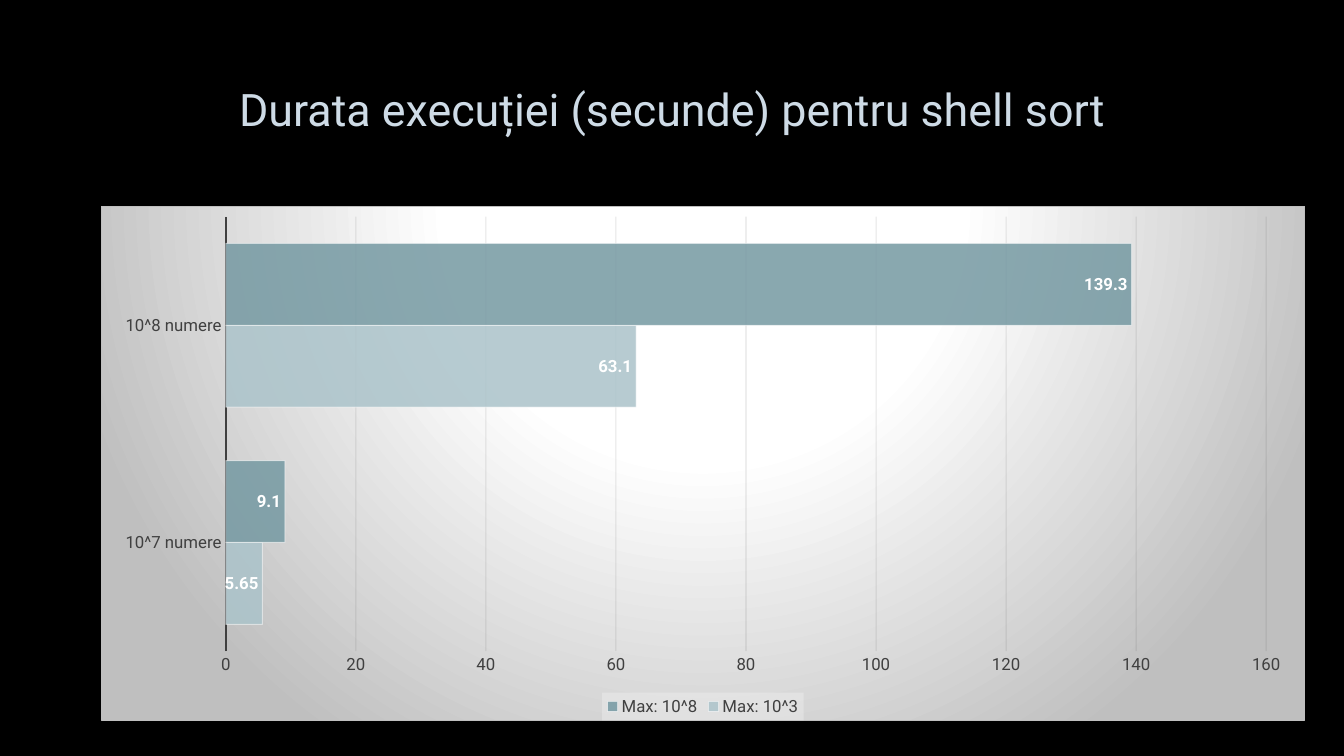
from dataclasses import dataclass

from lxml import etree
from pptx import Presentation
from pptx import util as u
from pptx.chart.data import CategoryChartData
from pptx.dml.color import RGBColor
from pptx.enum import chart as charts, text
from pptx.oxml.ns import nsdecls, qn

PIXEL = 914400 / 100.8


@dataclass(frozen=True)
class Theme:
    font: str = "Roboto"
    background: str = "000000"
    title: str = "CEDBE6"
    ink: str = "404040"
    grid: str = "0D0D0D"
    light: str = "FFFFFF"
    edge: str = "BFBFBF"
    legend: str = "F2F2F2"
    title_size: int = 32
    chart_size: int = 10
    label_size: int = 12


def px(value):
    return u.Emu(round(value * PIXEL))


def solid(color, alpha=100):
    return (f'<a:solidFill><a:srgbClr val="{color}">'
            f'<a:alpha val="{alpha * 1000}"/></a:srgbClr></a:solidFill>')


def line(color, alpha=100, points=0.75):
    return f'<a:ln w="{u.Pt(points)}">{solid(color, alpha)}</a:ln>'


def xml(tag, content):
    return etree.fromstring(f'<{tag} {nsdecls("c", "a")}>{content}</{tag}>')


class Deck:
    def __init__(self, presentation, theme):
        self.theme = theme
        # Layout 5 is title-only
        self.slide = presentation.slides.add_slide(presentation.slide_layouts[5])
        fill = self.slide.background.fill
        fill.solid()
        fill.fore_color.rgb = RGBColor.from_string(theme.background)

    def style(self, font, size, color, bold=False):
        font.name = self.theme.font
        font.size = u.Pt(size)
        font.bold = bold
        font.color.rgb = RGBColor.from_string(color)

    def title(self, words, left, top, width, height):
        shape = self.slide.shapes.title
        shape.left, shape.top, shape.width, shape.height = map(px, (left, top, width, height))
        frame = shape.text_frame
        frame.text = words
        frame.word_wrap = True
        frame.auto_size = text.MSO_AUTO_SIZE.NONE
        frame.vertical_anchor = text.MSO_ANCHOR.MIDDLE
        paragraph = frame.paragraphs[0]
        paragraph.alignment = text.PP_ALIGN.CENTER
        paragraph.line_spacing = 0.9
        self.style(paragraph.font, self.theme.title_size, self.theme.title)

    def bar_chart(self, categories, series, left, top, width, height):
        data = CategoryChartData()
        data.categories = categories
        for name, _, values in series:
            data.add_series(name, values)
        chart = self.slide.shapes.add_chart(
            charts.XL_CHART_TYPE.BAR_CLUSTERED, *map(px, (left, top, width, height)), data).chart
        chart.has_title = False
        self.style(chart.font, self.theme.chart_size, self.theme.light)
        self.chart_area(chart)
        self.axes(chart)
        self.legend(chart)

        # Bars and their values
        plot = chart.plots[0]
        plot.gap_width = 65
        plot.vary_by_categories = False
        for bars, (_, color, _) in zip(plot.series, series):
            bars.format.fill.solid()
            properties = bars._element.find(qn("c:spPr"))
            properties.getparent().replace(properties, xml(
                "c:spPr", solid(color, 85) + line(self.theme.light, 50)))
            labels = bars.data_labels
            labels.show_value = True
            labels.position = charts.XL_LABEL_POSITION.INSIDE_END
            self.style(labels.font, self.theme.label_size, self.theme.light, bold=True)

    def chart_area(self, chart):
        theme = self.theme
        stops = "".join(
            f'<a:gs pos="{position * 1000}"><a:srgbClr val="{color}"/></a:gs>'
            for position, color in ((0, theme.light), (39, theme.light), (100, theme.edge)))
        gradient = (f'<a:gradFill><a:gsLst>{stops}</a:gsLst><a:path path="circle">'
                    '<a:fillToRect l="50000" t="-80000" r="50000" b="180000"/>'
                    '</a:path></a:gradFill>')
        chart._chartSpace.find(qn("c:chart")).addnext(
            xml("c:spPr", gradient + line(theme.edge)))

    def axes(self, chart):
        theme = self.theme
        for axis in (chart.category_axis, chart.value_axis):
            axis.major_tick_mark = axis.minor_tick_mark = charts.XL_TICK_MARK.NONE
            self.style(axis.tick_labels.font, theme.label_size, theme.ink)
        axis_line = chart.category_axis.format.line
        axis_line.width = u.Pt(1.5)
        axis_line.color.rgb = RGBColor.from_string(theme.ink)
        chart.value_axis.format.line.fill.background()
        chart.value_axis.has_major_gridlines = True
        gridlines = chart.value_axis._element.find(qn("c:majorGridlines"))
        gridlines.append(xml("c:spPr", line(theme.grid, 10)))

    def legend(self, chart):
        chart.has_legend = True
        legend = chart.legend
        legend.position = charts.XL_LEGEND_POSITION.BOTTOM
        legend.include_in_layout = False
        self.style(legend.font, self.theme.label_size, self.theme.ink)
        legend._element.find(qn("c:overlay")).addnext(
            xml("c:spPr", solid(self.theme.legend, 39)))


presentation = Presentation()
presentation.slide_width, presentation.slide_height = px(1344), px(756)
deck = Deck(presentation, Theme())

# Heading
deck.title("Durata execuției (secunde) pentru shell sort", 102, 42, 1141, 139)

# Running times in seconds
deck.bar_chart(
    ["10^7 numere", "10^8 numere"],
    [("Max: 10^3", "ABC3CA", (5.65, 63.1)),
     ("Max: 10^8", "7599A2", (9.1, 139.3))],
    101, 206, 1204, 515)

presentation.save("out.pptx")
